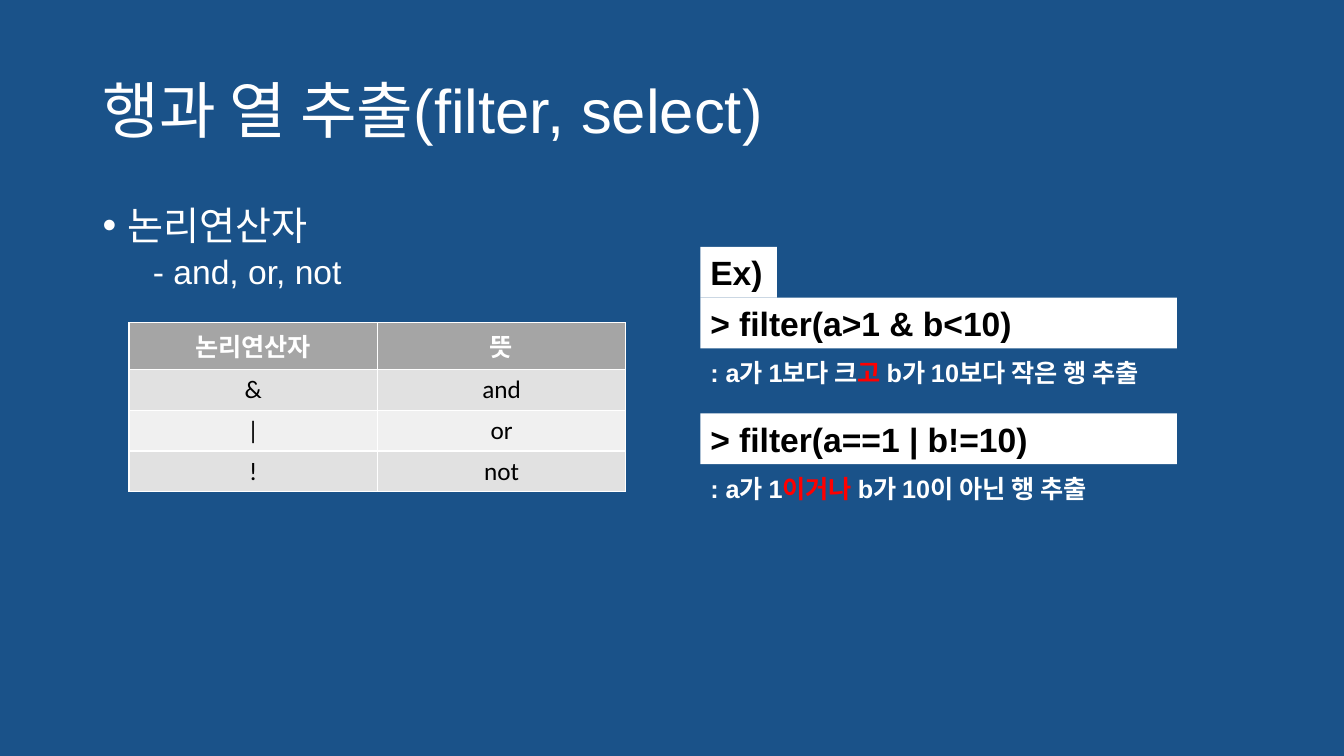
from lxml import etree
from pptx import Presentation
from pptx.dml.color import RGBColor
from pptx.enum.shapes import MSO_SHAPE
from pptx.enum.text import MSO_ANCHOR, MSO_AUTO_SIZE, PP_ALIGN
from pptx.oxml.ns import qn
from pptx.util import Cm, Pt

RECTANGLE = MSO_SHAPE.RECTANGLE
MIDDLE, TOP = MSO_ANCHOR.MIDDLE, MSO_ANCHOR.TOP
LEFT, CENTER = PP_ALIGN.LEFT, PP_ALIGN.CENTER
NO_FIT = MSO_AUTO_SIZE.NONE

BLUE, WHITE, BLACK, RED = "1A5289", "FFFFFF", "000000", "FF0000"
HEADER_GREY, DARK_BAND, LIGHT_BAND = "A5A5A5", "E1E1E1", "F0F0F0"


def color(value):
    return RGBColor.from_string(value)


class SlideBuilder:
    text_font = "Arial"
    table_font = "Calibri"

    def __init__(self, deck):
        self.page = deck.slides.add_slide(deck.slide_layouts[1])
        fill = self.page.background.fill
        fill.solid()
        fill.fore_color.rgb = color(BLUE)

    def style(self, span, size, ink, bold=False, name=text_font):
        font = span.font
        font.name, font.size, font.bold = name, Pt(size), bold
        font.color.rgb = color(ink)

    def place(self, box, left, top, width, height, anchor):
        box.left, box.top = Cm(left), Cm(top)
        box.width, box.height = Cm(width), Cm(height)
        frame = box.text_frame
        frame.word_wrap = True
        frame.auto_size = NO_FIT
        frame.vertical_anchor = anchor
        return frame

    def title(self, text, *area):
        frame = self.place(self.page.shapes.title, *area, MIDDLE)
        frame.text = text
        para = frame.paragraphs[0]
        para.alignment, para.line_spacing = LEFT, 0.9
        self.style(para.runs[0], 44, WHITE)

    def outline(self, items, *area):
        frame = self.place(self.page.placeholders[1], *area, TOP)
        frame.text = "\n".join(text for text, *_ in items)
        for para, (_, level, size, margin, indent, bullet, before) in zip(frame.paragraphs, items):
            para.level, para.line_spacing = level, 0.9
            para.space_before = Pt(before)
            properties = para._p.get_or_add_pPr()
            properties.set("marL", str(Cm(margin)))
            properties.set("indent", str(Cm(indent)))
            if bullet:
                etree.SubElement(properties, qn("a:buChar")).set("char", bullet)
            else:
                etree.SubElement(properties, qn("a:buNone"))
            self.style(para.runs[0], size, WHITE)

    def table(self, rows, left, top, width, row_height):
        grid = self.page.shapes.add_table(
            len(rows), len(rows[0]), Cm(left), Cm(top),
            Cm(width), Cm(row_height * len(rows))).table
        for i, row in enumerate(rows):
            header = i == 0
            band = HEADER_GREY if header else DARK_BAND if i % 2 else LIGHT_BAND
            for j, text in enumerate(row):
                cell = grid.cell(i, j)
                cell.fill.solid()
                cell.fill.fore_color.rgb = color(band)
                cell.text = text
                para = cell.text_frame.paragraphs[0]
                para.alignment = CENTER
                self.style(para.runs[0], 18, WHITE if header else BLACK, header, self.table_font)

    def code(self, text, left, top, width, height=1.28):
        box = self.page.shapes.add_shape(RECTANGLE, Cm(left), Cm(top), Cm(width), Cm(height))
        box.shadow.inherit = False
        box.fill.solid()
        box.fill.fore_color.rgb = color(WHITE)
        box.line.fill.background()
        frame = box.text_frame
        frame.word_wrap = False
        frame.vertical_anchor = TOP
        frame.text = text
        para = frame.paragraphs[0]
        para.alignment = LEFT
        self.style(para.runs[0], 24, BLACK, True)

    def note(self, parts, left, top, width=13.39, height=1.03):
        box = self.page.shapes.add_textbox(Cm(left), Cm(top), Cm(width), Cm(height))
        box.text_frame.word_wrap = True
        para = box.text_frame.paragraphs[0]
        for text, ink in parts:
            span = para.add_run()
            span.text = text
            self.style(span, 18, ink, True)


def main():
    deck = Presentation()
    deck.slide_width, deck.slide_height = Cm(33.87), Cm(19.05)
    slide = SlideBuilder(deck)

    # Heading and list
    slide.title("행과 열 추출(filter, select)", 2.33, 1.01, 29.21, 3.68)
    slide.outline([
        ("논리연산자", 0, 28, 0.64, -0.64, "•", 0),
        ("- and, or, not", 1, 24, 1.27, 0, None, 5),
    ], 2.33, 5.07, 29.21, 12.09)

    # Logical operators
    slide.table([("논리연산자", "뜻"), ("&", "and"), ("|", "or"), ("!", "not")],
                3.25, 8.13, 12.52, 1.03)

    # Examples, each with its explanation below
    left = 17.65
    slide.code("Ex)", left, 6.22, 1.93)
    examples = [
        ("> filter(a>1 & b<10)", ": a가 1보다 크", "고 ", "b가 10보다 작은 행 추출"),
        ("> filter(a==1 | b!=10)", ": a가 1", "이거나 ", "b가 10이 아닌 행 추출"),
    ]
    for i, (command, start, joint, end) in enumerate(examples):
        top = 7.5 + 2.92 * i
        slide.code(command, left, top, 12.01)
        slide.note([(start, WHITE), (joint, RED), (end, WHITE)], left, top + 1.39)

    deck.save("out.pptx")


if __name__ == "__main__":
    main()
